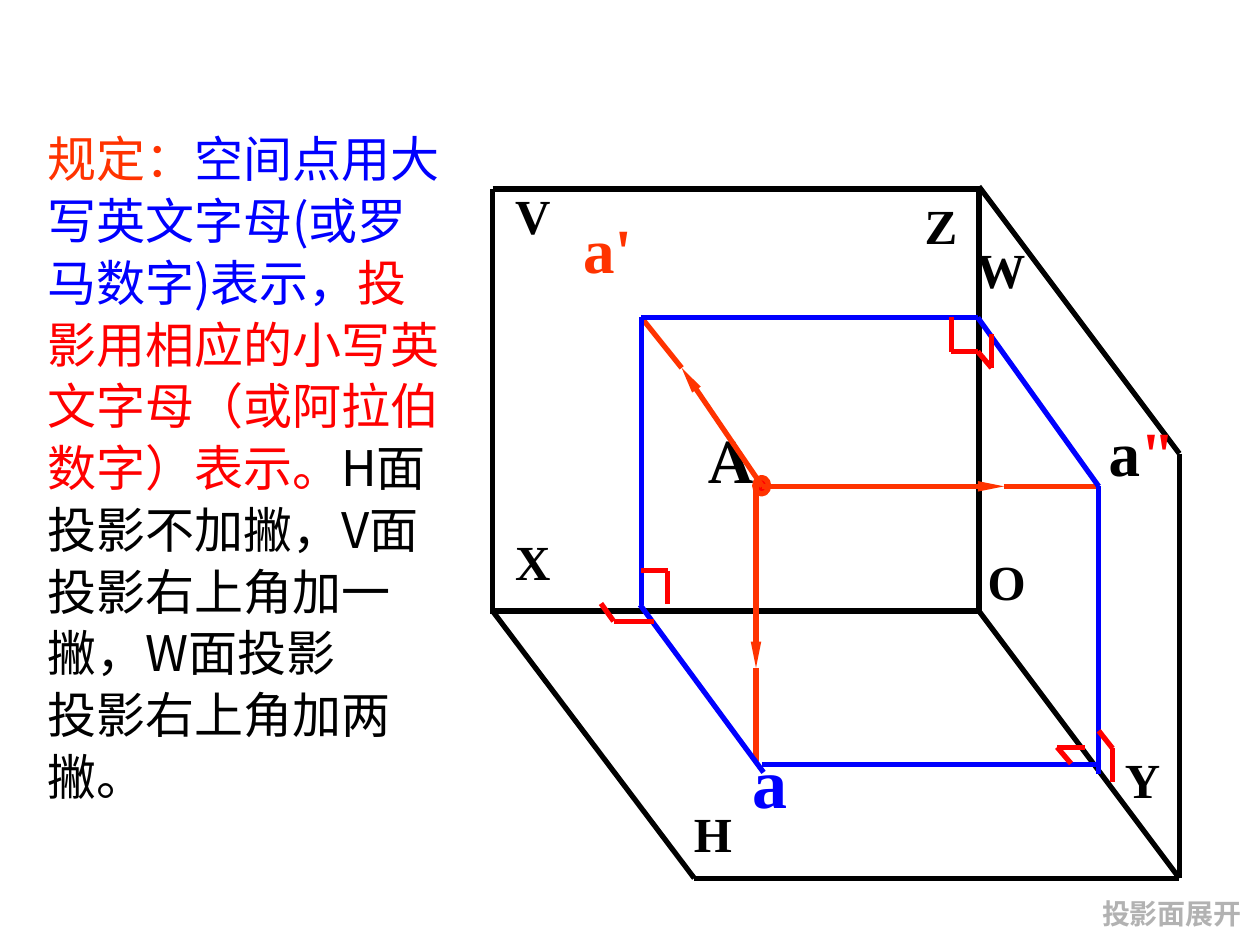
"""Build a slide on naming the projections of a point onto three planes."""
from dataclasses import dataclass
from itertools import pairwise

from lxml.etree import SubElement
from pptx import Presentation
from pptx.dml.color import RGBColor
from pptx.enum.shapes import MSO_CONNECTOR, MSO_SHAPE
from pptx.enum.text import MSO_ANCHOR, MSO_AUTO_SIZE, PP_ALIGN
from pptx.oxml.ns import qn
from pptx.util import Inches, Pt


@dataclass(frozen=True)
class Theme:
    black: str = "000000"
    blue: str = "0000FF"
    red: str = "FF0000"
    orange: str = "FF3300"
    gray: str = "B2B2B2"
    serif: str = "Times New Roman"
    sans: str = "Noto Sans CJK SC"
    note: int = 16
    base: int = 28
    point: int = 36
    large: int = 40
    line: int = 3


T = Theme()
COLS, ROWS = 100, 75
WIDE, HIGH = Inches(10), Inches(7.5)

RULES = [
    [("规定：", T.orange),
     ("空间点用大写英文字母(或罗马数字)表示，", T.blue),
     ("投影用相应的小写英文字母（或阿拉伯数字）表示。", T.red),
     ("H面投影不加撇，V面投影右上角加一撇，W面投影", T.black)],
    [("投影右上角加两撇。", T.black)],
]
PLANES = [
    ("O", 77.4, 43.3, 5), ("X", 39.9, 41.7, 4.8), ("Z", 72.4, 15, 4.6),
    ("Y", 88.3, 59, 7.5), ("V", 39.9, 14.2, 4.8), ("H", 54.1, 63.3, 5),
    ("W", 76.5, 18.5, 5.9),
]
POINTS = [
    ([("A", T.black)], (55.2, 32.9, 5.6, 7), T.point),
    ([("a'", T.orange)], (45.3, 16.2, 5.9, 7), T.point),
    ([("a", T.blue)], (58.7, 58.1, 4.8, 7.7), T.large),
    ([("a", T.black), ('"', T.red)], (87, 32.3, 7.3, 7), T.point),
]
DOT = (59.9, 37.9, 1.1, 1.3)
FRAME = [
    [(77.7, 14.8), (77.7, 48.5), (93.6, 69.7)],
    [(39.1, 48.7), (39.1, 15), (77.7, 15)],
    [(77.7, 48.5), (39.1, 48.5), (55.1, 69.7), (93.6, 69.7)],
    [(77.7, 14.8), (93.6, 36), (93.6, 69.7)],
]
RAYS = [
    [(60.5, 38.6), (54.1, 29.2), (50.9, 25.2)],
    [(60, 38.3), (60, 53), (60, 60.4)],
    [(60.5, 38.6), (79.7, 38.6), (87.2, 38.6)],
]
EDGES = [
    [(60.5, 60.7), (87.2, 60.7)],
    [(50.9, 48), (50.9, 25.2), (77.6, 25.2), (87.2, 38.6), (87.2, 61.4)],
    [(50.8, 48), (60.6, 61.3)],
]
RIGHTS = [
    [(50.9, 45.3), (53, 45.3), (53, 47.9)],
    [(47.7, 47.9), (48.7, 49.3), (51.9, 49.3)],
    [(87.2, 58), (88.3, 59.4), (88.3, 62.1)],
    [(75.5, 25.2), (75.5, 27.9), (77.6, 27.9), (78.7, 29.2), (78.7, 26.5)],
    [(86.1, 59.3), (83.9, 59.3), (85, 60.6)],
]


def place(*cells):
    sides = (WIDE / COLS, HIGH / ROWS)
    return [round(cell * sides[i % 2]) for i, cell in enumerate(cells)]


def paint(run, hue, size, face, bold):
    font = run.font
    font.size, font.bold, font.name = Pt(size), bold, face
    font.color.rgb = RGBColor.from_string(hue)
    east = SubElement(run._r.get_or_add_rPr(), qn("a:ea"))
    east.set("typeface", T.sans)


def write(slide, paras, box, size, face=T.serif, bold=True, wrap=False,
          mid=False, align=PP_ALIGN.LEFT, space=None):
    frame = slide.shapes.add_textbox(*place(*box)).text_frame
    frame.word_wrap = wrap
    frame.auto_size = MSO_AUTO_SIZE.SHAPE_TO_FIT_TEXT
    frame.vertical_anchor = MSO_ANCHOR.MIDDLE if mid else MSO_ANCHOR.TOP
    for i, parts in enumerate(paras):
        para = frame.add_paragraph() if i else frame.paragraphs[0]
        para.alignment, para.line_spacing = align, space
        para._p.get_or_add_pPr().set("hangingPunct", "0")
        for text, hue in parts:
            run = para.add_run()
            run.text = text
            paint(run, hue, size, face, bold)


def draw(slide, routes, hue, arrow=False):
    for route in routes:
        for i, (start, end) in enumerate(pairwise(route)):
            link = slide.shapes.add_connector(
                MSO_CONNECTOR.STRAIGHT, *place(*start, *end))
            link.line.width = Pt(T.line)
            link.line.color.rgb = RGBColor.from_string(hue)
            props = link.element.spPr
            if arrow and i == 0:
                SubElement(props.find(qn("a:ln")), qn("a:tailEnd"),
                           type="triangle", w="sm", len="lg")
            SubElement(props, qn("a:effectLst"))


def mark(slide):
    dot = slide.shapes.add_shape(MSO_SHAPE.OVAL, *place(*DOT))
    dot.shadow.inherit = False
    dot.fill.solid()
    dot.fill.fore_color.rgb = RGBColor.from_string(T.red)
    dot.line.color.rgb = RGBColor.from_string(T.orange)
    dot.line.width = Pt(T.line)


def main():
    deck = Presentation()
    deck.slide_width, deck.slide_height = WIDE, HIGH
    slide = deck.slides.add_slide(deck.slide_layouts[6])
    mark(slide)
    draw(slide, FRAME, T.black)
    for name, left, top, width in PLANES:
        write(slide, [[(name, T.black)]], (left, top, width, 5.7), T.base,
              wrap=name == "Y")
    for parts, box, size in POINTS:
        write(slide, [parts], box, size)
    draw(slide, RAYS, T.orange, arrow=True)
    draw(slide, EDGES, T.blue)
    draw(slide, RIGHTS, T.red)
    write(slide, RULES, (2.8, 9.5, 33.3, 54.9), T.base, T.sans,
          bold=False, wrap=True, mid=True, space=1.05)
    write(slide, [[("投影面展开", T.gray)]], (86.4, 70.6, 13.2, 3.7), T.note,
          mid=True, align=PP_ALIGN.CENTER)
    deck.save("out.pptx")


if __name__ == "__main__":
    main()
